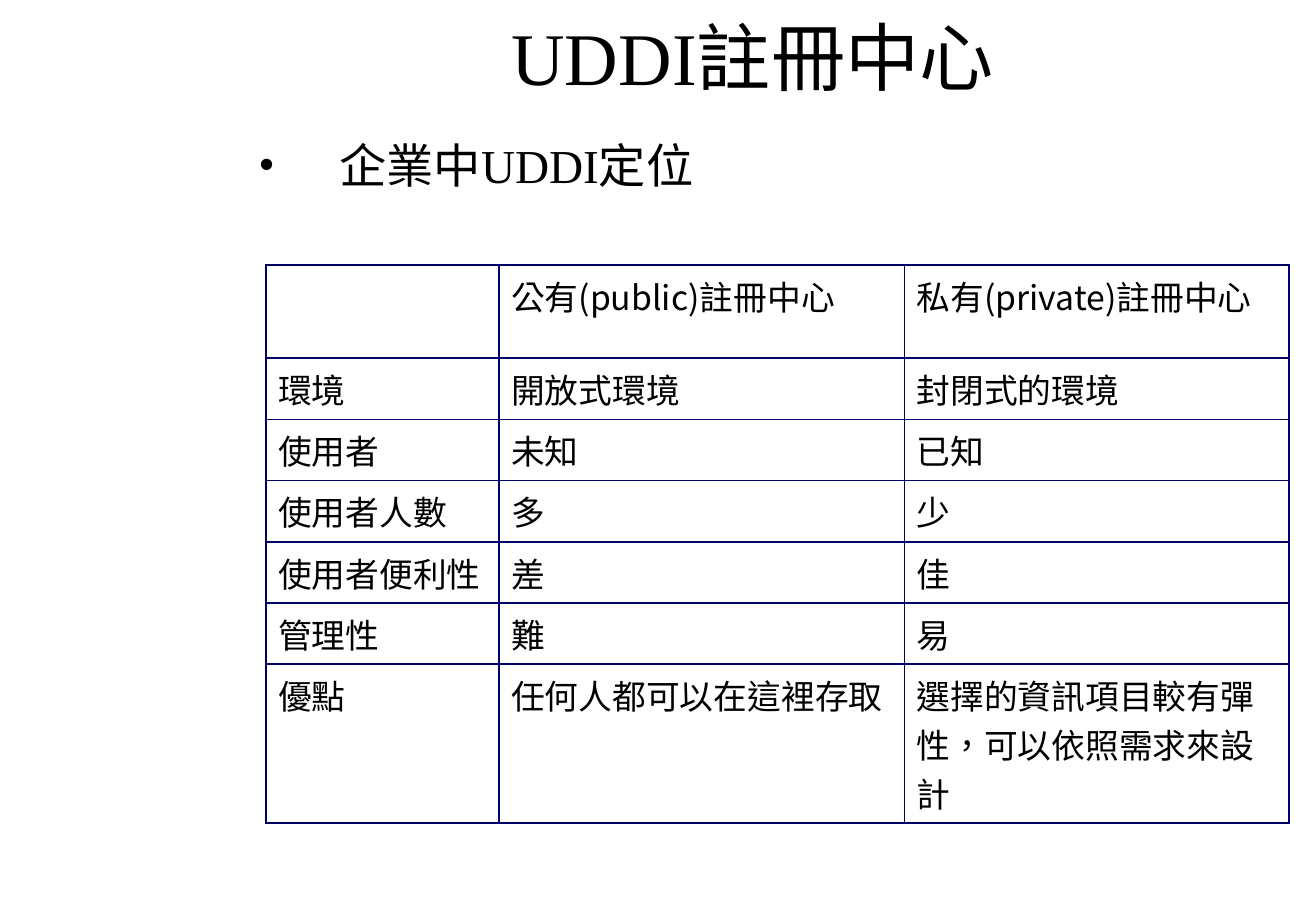
from dataclasses import dataclass

from lxml import etree
from pptx import Presentation
from pptx.dml.color import RGBColor
from pptx.enum.text import MSO_ANCHOR, MSO_AUTO_SIZE, PP_ALIGN
from pptx.oxml.ns import qn
from pptx.util import Pt

LEFT, CENTER = PP_ALIGN.LEFT, PP_ALIGN.CENTER
TOP, MIDDLE = MSO_ANCHOR.TOP, MSO_ANCHOR.MIDDLE
NO_FIT = MSO_AUTO_SIZE.NONE
SCALE = 9144


@dataclass(frozen=True)
class Theme:
    """Colours, fonts and type sizes of the slide."""
    ink: str = "000000"
    rule: str = "000066"
    line: float = 1.08
    serif: str = "Times New Roman"
    sans: str = "Arial"
    grid: str = "Noto Sans CJK SC"
    head: int = 44
    body: int = 28
    cell: int = 20


THEME = Theme()
TITLE = [("UDDI", THEME.serif), ("註冊中心", THEME.sans)]
POINT = [("企業中", THEME.sans), ("UDDI", THEME.serif), ("定位", THEME.sans)]
COLS = [192, 334, 317]
ROWS = [77, 44] + [45] * 4 + [110]
CELLS = [
    ["", "公有(public)註冊中心", "私有(private)註冊中心"],
    ["環境", "開放式環境", "封閉式的環境"],
    ["使用者", "未知", "已知"],
    ["使用者人數", "多", "少"],
    ["使用者便利性", "差", "佳"],
    ["管理性", "難", "易"],
    ["優點", "任何人都可以在這裡存取", "選擇的資訊項目較有彈性，可以依照需求來設計"],
]


def px(size):
    """Turn pixels, a hundred to the inch, into EMU."""
    return size * SCALE


def write(frame, parts, size, align=LEFT, before=0):
    """Fill a text frame with one paragraph of (text, font) parts."""
    para = frame.paragraphs[0]
    para.alignment = align
    para.space_before = Pt(before)
    for text, face in parts:
        run = para.add_run()
        run.text = text
        run.font.size = Pt(size)
        run.font.color.rgb = RGBColor.from_string(THEME.ink)
        run.font.name = face
        props = run._r.get_or_add_rPr()
        props.set("lang", "zh-TW")
        etree.SubElement(props, qn("a:ea"), typeface=face)
    return para


def set_frame(shape, anchor):
    """Make a shape's text wrap at a fixed size."""
    frame = shape.text_frame
    frame.word_wrap = True
    frame.auto_size = NO_FIT
    frame.vertical_anchor = anchor
    return frame


def add_title(slide):
    """Place and fill the title."""
    title = slide.shapes.title
    title.left, title.top = px(203), px(8)
    title.width, title.height = px(834), px(76)
    write(set_frame(title, MIDDLE), TITLE, THEME.head, align=CENTER)


def add_point(slide):
    """Add the bullet line above the table."""
    box = slide.shapes.add_textbox(px(203), px(107), px(413), px(539))
    para = write(set_frame(box, TOP), POINT, THEME.body, before=7)
    props = para._p.get_or_add_pPr()
    props.set("marL", str(px(67)))
    props.set("indent", str(-px(67)))
    tint = etree.SubElement(props, qn("a:buClr"))
    etree.SubElement(tint, qn("a:srgbClr"), val=THEME.ink)
    etree.SubElement(props, qn("a:buFont"), typeface=THEME.serif)
    etree.SubElement(props, qn("a:buChar"), char="•")


def rule_cell(cell):
    """Draw the four borders of a cell and clear its fill."""
    props = cell._tc.get_or_add_tcPr()
    for side in ("lnL", "lnR", "lnT", "lnB"):
        line = etree.SubElement(props, qn(f"a:{side}"), w=str(Pt(THEME.line)))
        fill = etree.SubElement(line, qn("a:solidFill"))
        etree.SubElement(fill, qn("a:srgbClr"), val=THEME.rule)
    cell.fill.background()


def add_grid(slide):
    """Add the table that compares the two kinds of registry."""
    grid = slide.shapes.add_table(
        len(ROWS), len(COLS), px(219), px(218), px(sum(COLS)), px(sum(ROWS))
    ).table
    grid.first_row = grid.horz_banding = False
    for col, width in zip(grid.columns, COLS):
        col.width = px(width)
    for row, height, texts in zip(grid.rows, ROWS, CELLS):
        row.height = px(height)
        for cell, text in zip(row.cells, texts):
            rule_cell(cell)
            if text:
                write(cell.text_frame, [(text, THEME.grid)], THEME.cell, before=5)


def main():
    """Build the slide and save it."""
    deck = Presentation()
    deck.slide_width, deck.slide_height = px(1084), px(750)
    slide = deck.slides.add_slide(deck.slide_layouts[5])
    add_title(slide)
    add_point(slide)
    add_grid(slide)
    deck.save("out.pptx")


if __name__ == "__main__":
    main()
